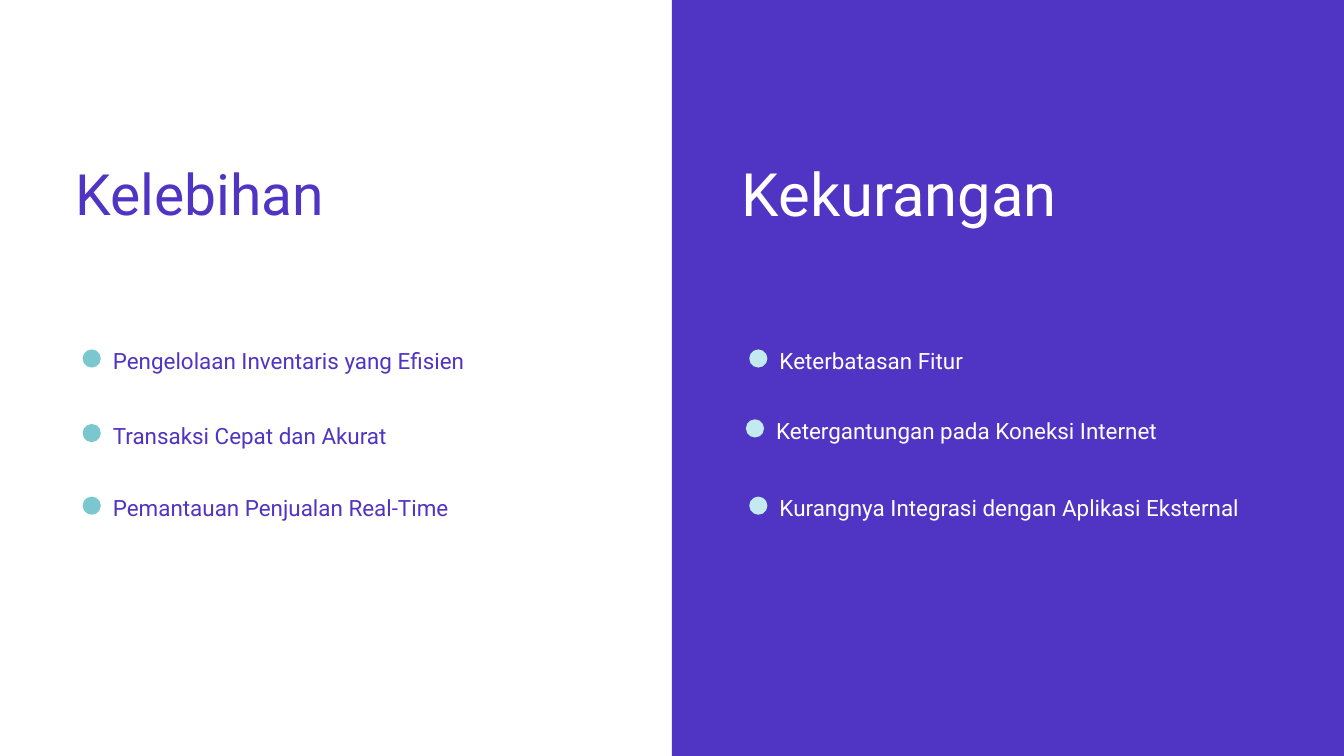
from pptx import Presentation
from pptx.dml.color import RGBColor
from pptx.enum.shapes import MSO_SHAPE
from pptx.enum.text import MSO_AUTO_SIZE
from pptx.util import Inches, Pt

RECT = MSO_SHAPE.RECTANGLE
OVAL = MSO_SHAPE.OVAL
GROW = MSO_AUTO_SIZE.SHAPE_TO_FIT_TEXT
WHITE = RGBColor(0xFF, 0xFF, 0xFF)
PURPLE = RGBColor(0x50, 0x34, 0xC4)
TEAL = RGBColor(0x7A, 0xC7, 0xCF)
PALE = RGBColor(0xC3, 0xEB, 0xEF)

WIDTH, HEIGHT = 20, 11.25

PROS = [
    (1.68, 5.1, "Pengelolaan Inventaris yang Efisien"),
    (1.68, 6.21, "Transaksi Cepat dan Akurat"),
    (1.68, 7.29, "Pemantauan Penjualan Real-Time"),
]
CONS = [
    (11.6, 5.1, "Keterbatasan Fitur"),
    (11.55, 6.14, "Ketergantungan pada Koneksi Internet"),
    (11.6, 7.29, "Kurangnya Integrasi dengan Aplikasi Eksternal"),
]


def write(frame, text, *, size, color, font, lead):
    para = frame.paragraphs[0]
    para.line_spacing = Pt(lead)
    run = para.add_run()
    run.text = text
    run.font.size = Pt(size)
    run.font.name = font
    run.font.color.rgb = color


class Deck:
    font = "Roboto"

    def __init__(self):
        self.prs = Presentation()
        self.prs.slide_width = Inches(WIDTH)
        self.prs.slide_height = Inches(HEIGHT)
        self.slide = self.prs.slides.add_slide(self.prs.slide_layouts[6])
        fill = self.slide.background.fill
        fill.solid()
        fill.fore_color.rgb = WHITE

    def shape(self, kind, box, color, home=None):
        home = home or self.slide.shapes
        shape = home.add_shape(kind, *map(Inches, box))
        shape.shadow.inherit = False
        shape.fill.solid()
        shape.fill.fore_color.rgb = color
        shape.line.fill.background()

    def text(self, text, box, home=None, **style):
        home = home or self.slide.shapes
        frame = home.add_textbox(*map(Inches, box)).text_frame
        frame.margin_left = frame.margin_right = 0
        frame.margin_top = frame.margin_bottom = 0
        frame.word_wrap = True
        frame.auto_size = GROW
        write(frame, text, font=self.font, **style)

    def title(self, text, left, top, size, color):
        lead = size * 1.2
        self.text(text, (left, top, 7.83, lead / 72),
                  size=size, color=color, lead=lead)

    def point(self, text, left, top, color, dot):
        group = self.slide.shapes.add_group_shape().shapes
        self.shape(OVAL, (left - 0.45, top + 0.1, 0.27, 0.27), dot, group)
        self.text(text, (left, top, 7.27, 0.43), group,
                  size=24, color=color, lead=33.6)

    def points(self, items, color, dot):
        for left, top, text in items:
            self.point(text, left, top, color, dot)


def main():
    deck = Deck()
    deck.shape(RECT, (WIDTH / 2, 0, WIDTH / 2, HEIGHT), PURPLE)
    deck.title("Kelebihan", 1.12, 2.36, 61, PURPLE)
    deck.points(PROS, PURPLE, TEAL)
    deck.title("Kekurangan", 11.04, 2.34, 64, WHITE)
    deck.points(CONS, WHITE, PALE)
    deck.prs.save("out.pptx")


if __name__ == "__main__":
    main()
